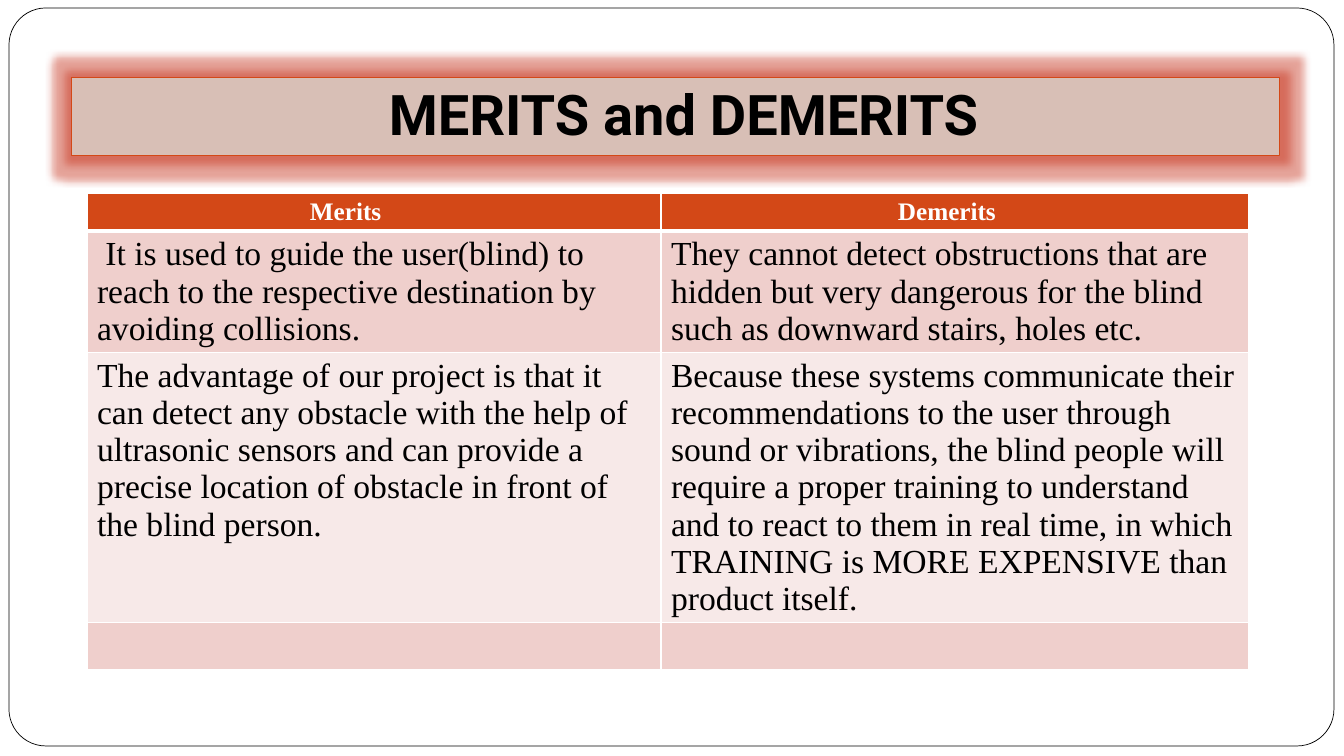
from lxml.etree import SubElement
from pptx import Presentation
from pptx.dml.color import RGBColor
from pptx.enum.shapes import MSO_SHAPE
from pptx.enum.text import MSO_ANCHOR, PP_ALIGN
from pptx.oxml import parse_xml
from pptx.oxml.ns import nsdecls, qn
from pptx.util import Emu, Pt

THEME = {
    "white": "FFFFFF", "black": "000000", "accent": "D34817",
    "title_fill": "D8BFB6", "glow": "C01A00", "bands": ["EFCFCC", "F7E9E8"],
    "title_font": "Roboto", "table_font": "Times New Roman",
    "title_size": 40, "header_size": 18, "body_size": 24,
}


def px(length):
    """Turn pixels (100.8 to the inch) into EMU."""
    return Emu(round(length * 914400 / 100.8))


def style_font(paragraph, name, size, color, bold):
    font = paragraph.font
    font.name, font.size, font.bold = name, Pt(size), bold
    font.color.rgb = RGBColor.from_string(color)


presentation = Presentation()
presentation.slide_width, presentation.slide_height = px(1344), px(756)
slide = presentation.slides.add_slide(presentation.slide_layouts[6])

# Frame and title bar
bars = []
for kind, box, fill, line, width in [
    (MSO_SHAPE.ROUNDED_RECTANGLE, (9, 8, 1325, 738), THEME["white"], THEME["black"], 0.5),
    (MSO_SHAPE.RECTANGLE, (72, 78, 1208, 78), THEME["title_fill"], THEME["accent"], 0.75),
]:
    shape = slide.shapes.add_shape(kind, *map(px, box))
    shape.fill.solid()
    shape.fill.fore_color.rgb = RGBColor.from_string(fill)
    shape.line.color.rgb = RGBColor.from_string(line)
    shape.line.width = Pt(width)
    shape.shadow.inherit = False
    bars.append(shape)
frame, title = bars
frame.adjustments[0] = 0.05

effects = title.element.spPr.find(qn("a:effectLst"))
glow = SubElement(effects, qn("a:glow"), rad=str(Pt(11)))
glow_color = SubElement(glow, qn("a:srgbClr"), val=THEME["glow"])
SubElement(glow_color, qn("a:alpha"), val="40000")

title.text_frame.text = "MERITS and DEMERITS"
title.text_frame.vertical_anchor = MSO_ANCHOR.MIDDLE
title.text_frame.margin_left = px(317)
paragraph = title.text_frame.paragraphs[0]
paragraph.alignment = PP_ALIGN.LEFT
paragraph.line_spacing = 0.9
style_font(paragraph, THEME["title_font"], THEME["title_size"], THEME["black"], True)

# Comparison table
rows = [
    ("Merits", "Demerits"),
    (" It is used to guide the user(blind) to reach to the respective destination "
     "by avoiding collisions.",
     "They cannot detect obstructions that are hidden but very dangerous for the blind "
     "such as downward stairs, holes etc."),
    ("The advantage of our project is that it can detect any obstacle with the help of "
     "ultrasonic sensors and can provide a precise location of obstacle in front of "
     "the blind person.",
     "Because these systems communicate their recommendations to the user through sound "
     "or vibrations, the blind people will require a proper training to understand and to "
     "react to them in real time, in which TRAINING is MORE EXPENSIVE than product itself."),
    ("", ""),
]
column_widths = [574, 588]
row_heights = [37, 121, 270, 46]
header_indents = [223, 237]

table = slide.shapes.add_table(
    len(rows), len(column_widths), px(87), px(193),
    px(sum(column_widths)), px(sum(row_heights))).table
for column, width in zip(table.columns, column_widths):
    column.width = px(width)
for row, height in zip(table.rows, row_heights):
    row.height = px(height)

for row_index, texts in enumerate(rows):
    is_header = row_index == 0
    fill = THEME["accent"] if is_header else THEME["bands"][(row_index - 1) % 2]
    for column_index, text in enumerate(texts):
        cell = table.cell(row_index, column_index)
        cell.text = text
        cell.fill.solid()
        cell.fill.fore_color.rgb = RGBColor.from_string(fill)
        paragraph = cell.text_frame.paragraphs[0]
        if is_header:
            cell.margin_left = px(header_indents[column_index])
            style_font(paragraph, THEME["table_font"], THEME["header_size"], THEME["white"], True)
        else:
            style_font(paragraph, THEME["table_font"], THEME["body_size"], THEME["black"], False)

        heavy_side = {0: "lnB", 1: "lnT"}.get(row_index)
        for position, side in enumerate(["lnL", "lnR", "lnT", "lnB"]):
            width = Pt(3 if side == heavy_side else 1)
            cell._tc.get_or_add_tcPr().insert(position, parse_xml(
                f'<a:{side} {nsdecls("a")} w="{width}"><a:solidFill>'
                f'<a:srgbClr val="{THEME["white"]}"/></a:solidFill></a:{side}>'))

presentation.save("out.pptx")
